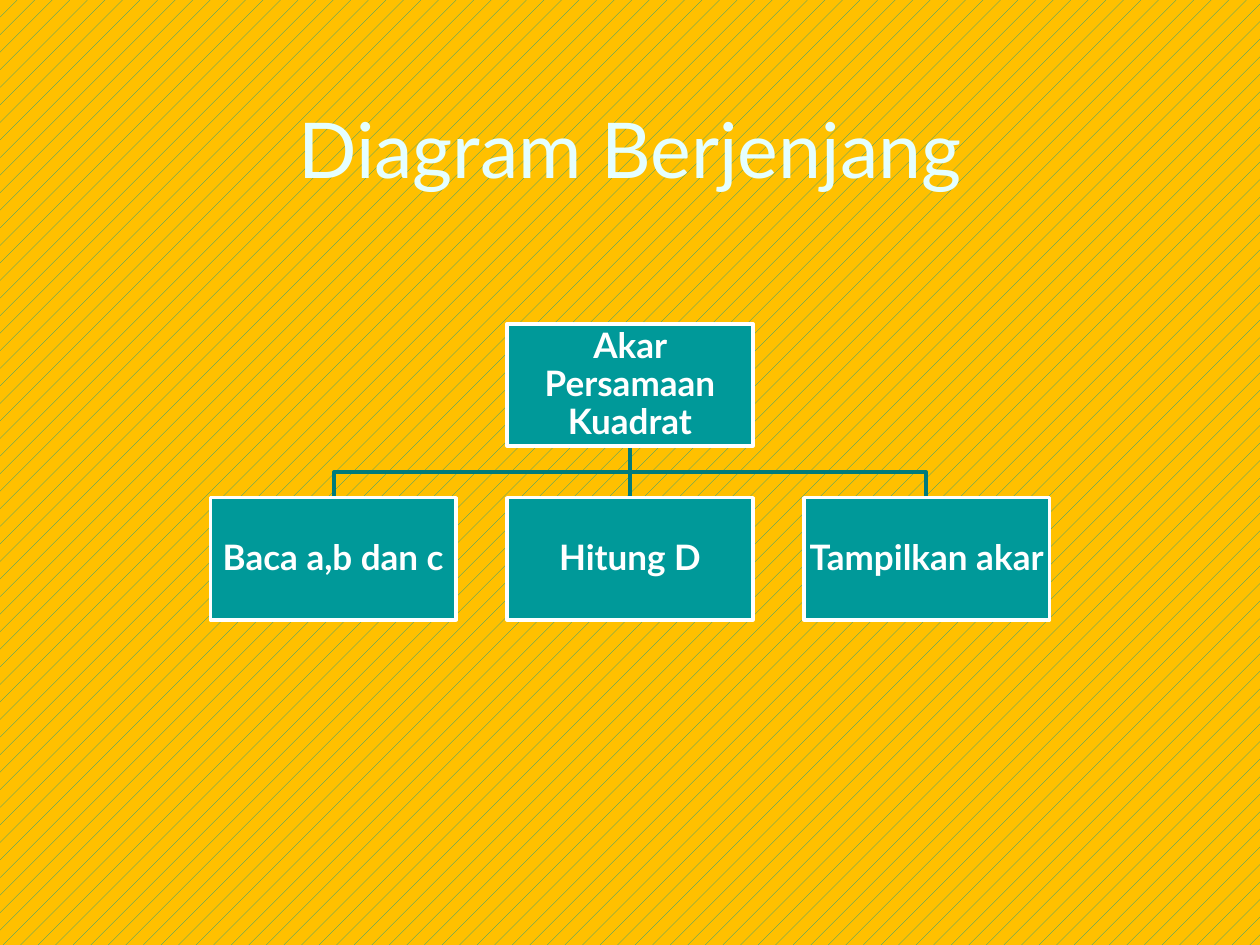
from dataclasses import dataclass

from lxml import etree
from pptx import Presentation
from pptx import util as u
from pptx.dml.color import RGBColor
from pptx.enum import dml, shapes, text
from pptx.oxml.ns import qn


@dataclass(frozen=True)
class Theme:
    font: str = "Lato"
    ground: RGBColor = RGBColor(0xFF, 0xC0, 0x00)
    teal: RGBColor = RGBColor(0x00, 0x99, 0x99)
    link: RGBColor = RGBColor(0x00, 0x7B, 0x7B)
    title: RGBColor = RGBColor(0xE5, 0xFF, 0xFF)
    white: RGBColor = RGBColor(0xFF, 0xFF, 0xFF)
    title_size: u.Pt = u.Pt(44)
    node_size: u.Pt = u.Pt(20)
    line: u.Pt = u.Pt(2)


THEME = Theme()


def paint_background(s):
    fill = s.background.fill
    fill.patterned()
    fill.pattern = dml.MSO_PATTERN.PERCENT_5
    fill.fore_color.rgb = THEME.teal
    fill.back_color.rgb = THEME.ground


def style_text(tf, content, size, color, bold):
    tf.word_wrap = True
    tf.auto_size = text.MSO_AUTO_SIZE.NONE
    tf.vertical_anchor = text.MSO_ANCHOR.MIDDLE
    p = tf.paragraphs[0]
    p.text = content
    p.alignment = text.PP_ALIGN.CENTER
    p.font.name = THEME.font
    p.font.size = size
    p.font.bold = bold
    p.font.color.rgb = color
    return p


def add_title(s, content, left, top, width, height):
    sp = s.shapes.title
    sp.left, sp.top, sp.width, sp.height = map(u.Inches, (left, top, width, height))
    style_text(sp.text_frame, content, THEME.title_size, THEME.title, False)


def style_line(line, color):
    line.color.rgb = color
    line.width = THEME.line


def add_node(s, content, left, top, width, height):
    sp = s.shapes.add_shape(shapes.MSO_SHAPE.RECTANGLE,
                            *map(u.Inches, (left, top, width, height)))
    sp.shadow.inherit = False
    sp.fill.solid()
    sp.fill.fore_color.rgb = THEME.teal
    style_line(sp.line, THEME.white)
    tf = sp.text_frame
    tf.margin_left = tf.margin_right = tf.margin_top = tf.margin_bottom = u.Inches(0.01)
    p = style_text(tf, content, THEME.node_size, THEME.white, True)
    p.line_spacing = 0.9


def add_link(s, x1, y1, x2, y2):
    if x1 == x2:
        sp = s.shapes.add_connector(shapes.MSO_CONNECTOR.STRAIGHT,
                                    *map(u.Inches, (x1, y1, x2, y2)))
        etree.SubElement(sp._element.spPr, qn("a:effectLst"))
    else:
        mid = (y1 + y2) / 2
        fb = s.shapes.build_freeform(u.Inches(x1), u.Inches(y1))
        fb.add_line_segments([(u.Inches(x), u.Inches(y))
                              for x, y in ((x1, mid), (x2, mid), (x2, y2))], close=False)
        sp = fb.convert_to_shape()
        sp.shadow.inherit = False
        sp.fill.background()
    style_line(sp.line, THEME.link)


def add_hierarchy(s, root, children, left, top, width, height):
    node_w, node_h = 1.95, 0.97
    pitch = (width - node_w) / (len(children) - 1)
    root_x = left + width / 2
    child_top = top + height - node_h
    lefts = [left + i * pitch for i in range(len(children))]
    for x in lefts:
        add_link(s, root_x, top + node_h, round(x + node_w / 2, 2), child_top)
    add_node(s, root, root_x - node_w / 2, top, node_w, node_h)
    for child, x in zip(children, lefts):
        add_node(s, child, x, child_top, node_w, node_h)


def main():
    prs = Presentation()
    prs.slide_width, prs.slide_height = u.Inches(10), u.Inches(7.5)
    s = prs.slides.add_slide(prs.slide_layouts[5])
    paint_background(s)
    add_title(s, "Diagram Berjenjang", 0.5, 0.42, 9, 1.5)
    add_hierarchy(s, "Akar Persamaan Kuadrat",
                  ["Baca a,b dan c", "Hitung D", "Tampilkan akar"],
                  1.67, 2.57, 6.66, 2.35)
    prs.save("out.pptx")


if __name__ == "__main__":
    main()
